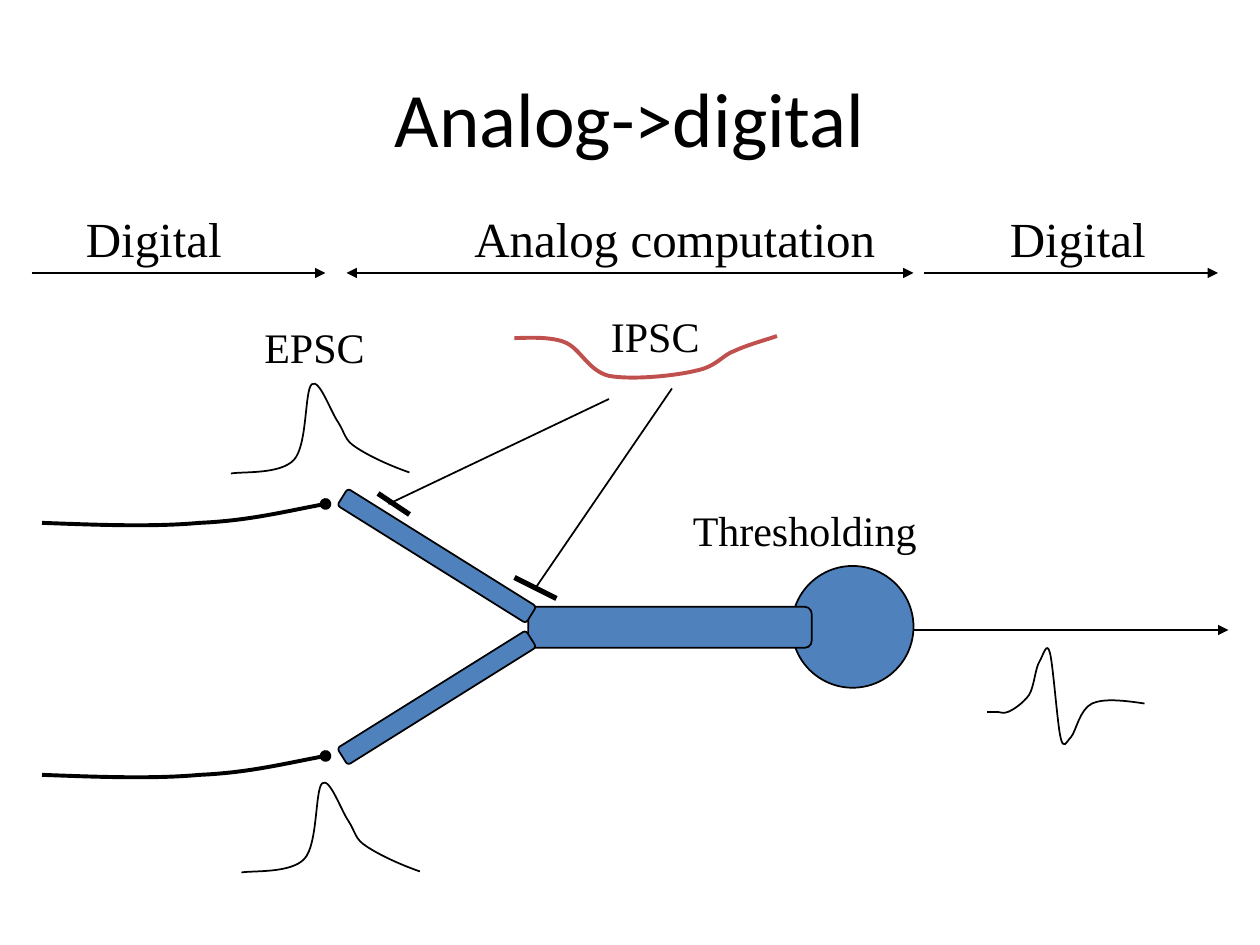
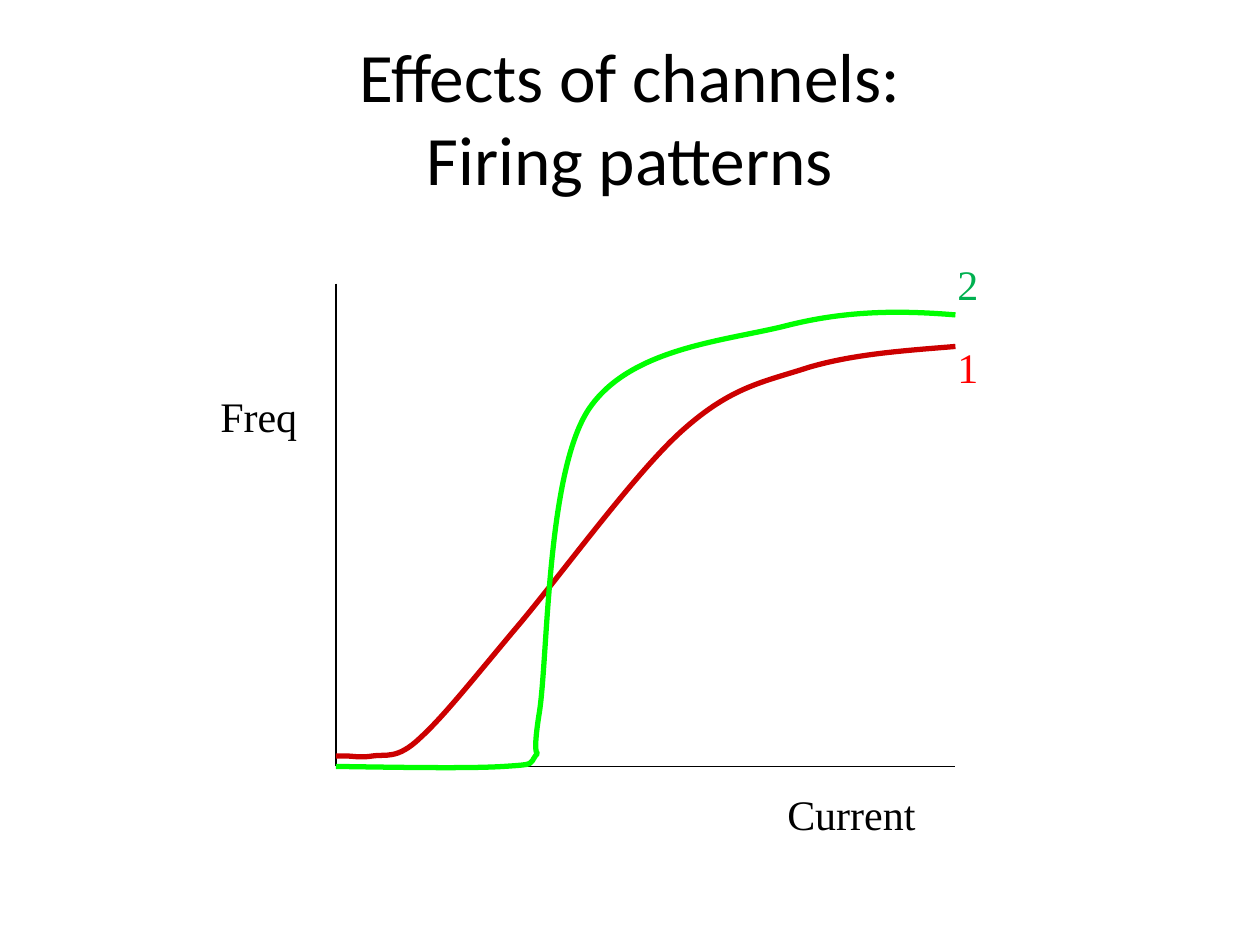
from dataclasses import dataclass
from itertools import pairwise

from lxml import etree
from pptx import Presentation
from pptx import util as u
from pptx.dml.color import RGBColor
from pptx.enum import shapes, text
from pptx.oxml.ns import qn

COLS, ROWS = 120, 90  # slide grid
CELL = u.Inches(10) // COLS


@dataclass(frozen=True)
class Theme:
    head_font: str = "Calibri"
    body_font: str = "Times New Roman"
    ink: str = "000000"
    neuron: str = "4F81BD"
    inhibition: str = "C0504D"
    gradual: str = "CC0000"
    gradual_label: str = "FF0000"
    abrupt: str = "00FF00"
    abrupt_label: str = "00B050"
    title: float = 44
    title_two_lines: float = 39.6
    phase: float = 28
    label: float = 24
    thin: float = 1
    medium: float = 2.25
    thick: float = 3


T = Theme()

# Curves: a start point, then three points for each Bezier segment, in cells
EPSC = [(0, 9.1),
        (1.1, 8.9), (4.7, 9.2), (6, 7.8),
        (7.3, 6.4), (7, 1.2), (7.7, 0.6),
        (8.4, 0), (9.5, 3.2), (10.2, 4.2),
        (10.9, 5.3), (10.8, 5.9), (11.9, 6.6),
        (13.1, 7.4), (15, 8.3), (17, 9)]
IPSC = [(0, 0.2),
        (0.8, 0.2), (3.4, 0), (4.8, 0.6),
        (6.3, 1.2), (7, 3.3), (9, 3.8),
        (11.2, 4.2), (15.3, 3.8), (17.3, 3.3),
        (19.3, 2.9), (19.8, 1.8), (21, 1.4),
        (22.3, 0.8), (24.2, 0.3), (25, 0)]
AXON = [(0, 1.8),
        (5.3, 2), (10.6, 2.2), (15, 1.8),
        (19.6, 1.6), (23.2, 0.7), (27, 0)]
SPIKE = [(0, 6.8),
         (0.3, 6.8), (0.7, 6.8), (1, 6.8),
         (1.3, 6.8), (1.5, 7), (2, 6.8),
         (2.5, 6.6), (3.4, 6), (4, 5.2),
         (4.5, 4.4), (4.6, 2.6), (5, 2),
         (5.4, 1.3), (5.7, 0), (6, 1.2),
         (6.3, 2.4), (6.7, 7.9), (7, 9.2),
         (7.3, 10.5), (7.5, 9.7), (8, 9.2),
         (8.5, 8.6), (8.8, 6.6), (10, 6),
         (11.1, 5.5), (13, 5.7), (15, 6)]
GRADUAL = [(0, 45),
           (0.2, 45), (0.4, 45), (1, 45),
           (1.6, 45), (2.3, 45.2), (3.5, 45),
           (4.7, 44.8), (5.8, 45.4), (8, 43.3),
           (10.2, 41.3), (12.9, 37.9), (17, 33),
           (21.2, 28.1), (28.4, 18.1), (33, 14),
           (37.7, 9.8), (40.7, 9.4), (45, 8),
           (49.4, 6.7), (54.2, 6.4), (59, 6)]
ABRUPT = [(0, 46),
          (6.4, 46.1), (12.8, 46.2), (16, 46),
          (19.1, 45.8), (18.4, 45.8), (19, 45),
          (19.6, 44.2), (18.5, 46.2), (19.4, 40.7),
          (20.2, 35.2), (20.1, 18.2), (24, 12.1),
          (27.9, 6.1), (37.1, 5.5), (43, 4),
          (48.9, 2.5), (54.2, 2.6), (59, 3)]


def style_line(sp, color, width, head=None, tail=None):
    sp.line.color.rgb = RGBColor.from_string(color)
    sp.line.width = u.Pt(width)
    for tag, end in (("a:headEnd", head), ("a:tailEnd", tail)):
        if end:
            etree.SubElement(sp.line._get_or_add_ln(), qn(tag), type=end)


@dataclass
class Region:
    """A box on the slide grid; its methods place parts from its top left."""
    slide: object
    left: float
    top: float
    width: float
    height: float

    def at(self, x, y):
        return round((self.left + x) * CELL), round((self.top + y) * CELL)

    def text(self, words, x, y, w, h=6, size=T.label, color=T.ink,
             font=T.body_font, wrap=False, align=None,
             anchor=text.MSO_ANCHOR.TOP):
        sp = self.slide.shapes.add_textbox(
            *self.at(x, y), round(w * CELL), round(h * CELL))
        tf = sp.text_frame
        tf.word_wrap = wrap
        tf.vertical_anchor = anchor
        if not wrap:
            tf.auto_size = text.MSO_AUTO_SIZE.SHAPE_TO_FIT_TEXT
        p = tf.paragraphs[0]
        p.text = words
        p.alignment = align
        for r in p.runs:
            r.font.name = font
            r.font.size = u.Pt(size)
            r.font.color.rgb = RGBColor.from_string(color)

    def line(self, start, end, width=T.thin, **ends):
        sp = self.slide.shapes.add_connector(
            shapes.MSO_CONNECTOR.STRAIGHT, *self.at(*start), *self.at(*end))
        style_line(sp, T.ink, width, **ends)
        etree.SubElement(sp._element.spPr, qn("a:effectLst"))

    def shape(self, kind, x, y, w, h, turn=0):
        sp = self.slide.shapes.add_shape(
            kind, *self.at(x, y), round(w * CELL), round(h * CELL))
        sp.rotation = turn
        sp.shadow.inherit = False
        sp.fill.solid()
        sp.fill.fore_color.rgb = RGBColor.from_string(T.neuron)
        style_line(sp, T.ink, T.thin)

    def curve(self, points, x=0, y=0, color=T.ink, width=T.thin, **ends):
        start, *rest = [self.at(x + px, y + py) for px, py in points]
        fb = self.slide.shapes.build_freeform(*start)
        fb.add_line_segments(rest, close=False)
        sp = fb.convert_to_shape()
        steps = list(sp._element.iter(qn("a:lnTo")))
        for i in range(0, len(steps), 3):
            bezier = etree.Element(qn("a:cubicBezTo"))
            steps[i].addprevious(bezier)
            for step in steps[i:i + 3]:
                bezier.append(step[0])
                step.getparent().remove(step)
        sp.fill.background()
        sp.shadow.inherit = False
        style_line(sp, color, width, **ends)


def add_title(slide, words, size):
    box = Region(slide, 6, 3.6, COLS - 12, 15)
    box.text(words, 0, 0, box.width, box.height, size=size, wrap=True,
             font=T.head_font, align=text.PP_ALIGN.CENTER,
             anchor=text.MSO_ANCHOR.MIDDLE)


def add_phases(box):
    """Row of signal phases, each a label above its arrow."""
    phases = [("Digital", 4, 15.4, 0, 28, None),
              ("Analog computation", 41, 40.6, 30, 84, "triangle"),
              ("Digital", 92, 15.4, 85, 113, None)]
    for name, x, w, start, end, head in phases:
        box.text(name, x, 0, w, 6.8, size=T.phase)
        box.line((start, box.height), (end, box.height),
                 head=head, tail="triangle")


def add_inputs(box):
    """Two axons, each with its excitatory current."""
    for y in (12, 36):
        box.curve(AXON, 0, y, width=T.medium, tail="oval")
    for x, y in ((18, 0), (19, 38)):
        box.curve(EPSC, x, y)
    box.text("EPSC", 20, -6, 12)


def add_inhibition(box):
    """Inhibitory current and the two synapses it reaches."""
    box.curve(IPSC, 13, 0, color=T.inhibition, width=T.medium)
    box.text("IPSC", 21, -3, 10.9)
    for start, synapse, bar in (
            ((22, 6), (1, 16), ((0, 15), (3, 17))),
            ((28, 5), (15, 24), ((13, 23), (17, 25)))):
        box.line(start, synapse)
        box.line(*bar, width=T.thick)


def add_cell(box):
    """Soma, trunk and two dendrites, with the output spike."""
    rounded = shapes.MSO_SHAPE.ROUNDED_RECTANGLE
    box.shape(shapes.MSO_SHAPE.OVAL, 44.4, 1.9, 11.6, 11.6)
    box.shape(rounded, 19.3, 5.8, 27, 3.9)
    for y, turn in ((0, 32), (13.5, -32)):
        box.shape(rounded, 0, y, 21.2, 1.9, turn)
    box.text("Thresholding", 33.8, -4.5, 23.8)
    box.line((56, 8), (86, 8), tail="triangle")
    box.curve(SPIKE, 63, 9)


def add_firing_plot(box):
    """Frequency against current for two firing patterns."""
    w, h = box.width, box.height
    for start, end in pairwise([(0, 0), (0, h), (w, h)]):
        box.line(start, end)
    box.text("Freq", -12.2, 9.6, 9.7)
    box.text("Current", 41.8, h + 1.5, 14.6)
    for name, points, y, color, label_color in (
            ("1", GRADUAL, 4.9, T.gradual, T.gradual_label),
            ("2", ABRUPT, -3, T.abrupt, T.abrupt_label)):
        box.curve(points, color=color, width=T.thick)
        box.text(name, w - 1, y, 4.4, color=label_color)


def main():
    prs = Presentation()
    prs.slide_width, prs.slide_height = COLS * CELL, ROWS * CELL
    blank = prs.slide_layouts[6]

    s = prs.slides.add_slide(blank)
    add_title(s, "Analog->digital", T.title)
    add_inputs(Region(s, 4, 36, 36, 48))
    add_cell(Region(s, 31, 52, 86, 20))
    add_inhibition(Region(s, 36, 32, 38, 25))
    add_phases(Region(s, 3, 19.3, 113, 6.7))

    s = prs.slides.add_slide(blank)
    add_title(s, "Effects of channels:\vFiring patterns", T.title_two_lines)
    add_firing_plot(Region(s, 32, 27, 59, 46))

    prs.save("out.pptx")


if __name__ == "__main__":
    main()
